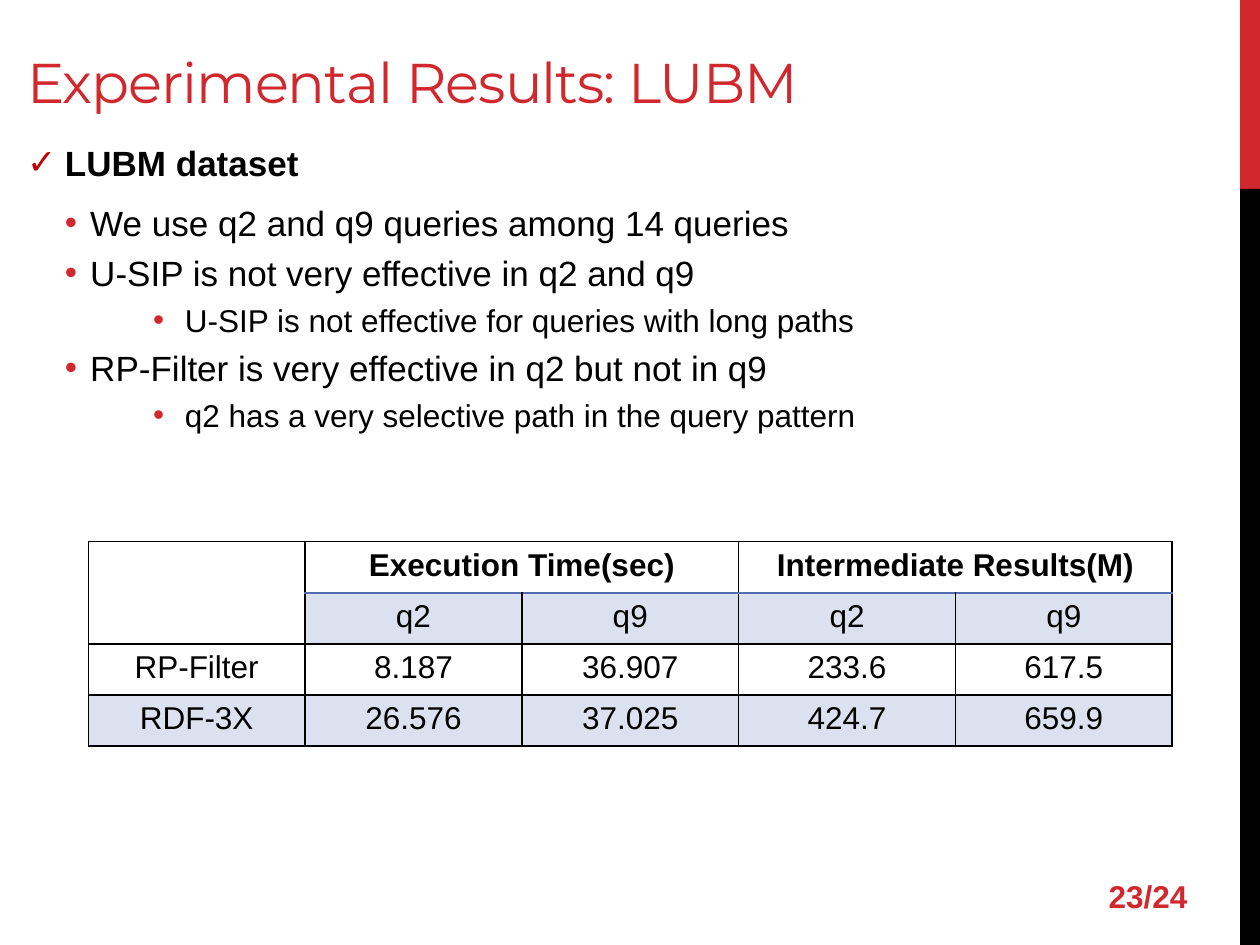
from lxml.etree import SubElement
from pptx import Presentation
from pptx.dml.color import RGBColor as Rgb
from pptx.enum.shapes import MSO_SHAPE as Preset
from pptx.enum.text import MSO_ANCHOR as Anchor, PP_ALIGN as Align
from pptx.oxml.ns import qn
from pptx.util import Cm, Pt

COLORS = {
    "red": "D1282E",
    "check": "C00000",
    "black": "000000",
    "blue": "526DB0",
}
TITLE = {"size": Pt(32), "name": "Montserrat", "bold": False}
LARGE = {"size": Pt(20), "name": "Arial", "bold": False}
SMALL = {"size": Pt(18), "name": "Arial", "bold": False}
LARGE_BOLD = {**LARGE, "bold": True}
SMALL_BOLD = {**SMALL, "bold": True}

LEVELS = [
    {"format": LARGE_BOLD, "bullet": "✓", "color": "check", "margin": 0.76, "hang": 0.76, "after": 6},
    {"format": LARGE, "bullet": "•", "color": "red", "margin": 1.27, "hang": 0.51, "after": 0},
    {"format": SMALL, "bullet": "•", "color": "red", "margin": 3.18, "hang": 0.64, "after": 0},
]
FINDINGS = [
    (0, "LUBM dataset"),
    (1, "We use q2 and q9 queries among 14 queries"),
    (1, "U-SIP is not very effective in q2 and q9"),
    (2, "U-SIP is not effective for queries with long paths"),
    (1, "RP-Filter is very effective in q2 but not in q9"),
    (2, "q2 has a very selective path in the query pattern"),
]
RESULTS = [
    ["", "Execution Time(sec)", "", "Intermediate Results(M)", ""],
    ["", "q2", "q9", "q2", "q9"],
    ["RP-Filter", "8.187", "36.907", "233.6", "617.5"],
    ["RDF-3X", "26.576", "37.025", "424.7", "659.9"],
]
MERGES = [((0, 0), (1, 0)), ((0, 1), (0, 2)), ((0, 3), (0, 4))]


class SlideBuilder:
    def __init__(self, slide):
        self.slide = slide

    def color(self, name):
        return Rgb.from_string(COLORS[name])

    def styled_run(self, paragraph, text, style, color="black"):
        run = paragraph.add_run()
        run.text = text
        for key, value in style.items():
            setattr(run.font, key, value)
        run.font.color.rgb = self.color(color)
        return run

    def bar(self, left, top, width, height, color):
        bar = self.slide.shapes.add_shape(Preset.RECTANGLE, Cm(left), Cm(top), Cm(width), Cm(height))
        bar.shadow.inherit = False
        bar.fill.solid()
        bar.fill.fore_color.rgb = self.color(color)
        bar.line.fill.background()

    def frame(self, left, top, width, height, anchor=Anchor.TOP):
        frame = self.slide.shapes.add_textbox(Cm(left), Cm(top), Cm(width), Cm(height)).text_frame
        frame.word_wrap = True
        frame.vertical_anchor = anchor
        return frame

    def label(self, box, text, style, anchor, spacing=0):
        run = self.styled_run(self.frame(*box, anchor).paragraphs[0], text, style, "red")
        if spacing:
            run._r.get_or_add_rPr().set("spc", str(spacing))

    def bullets(self, box, items):
        frame = self.frame(*box)
        for index, (depth, text) in enumerate(items):
            level = LEVELS[depth]
            paragraph = frame.add_paragraph() if index else frame.paragraphs[0]
            paragraph.level = depth
            properties = paragraph._p.get_or_add_pPr()
            properties.set("marL", str(Cm(level["margin"])))
            properties.set("indent", str(-Cm(level["hang"])))
            bullet_color = SubElement(properties, qn("a:buClr"))
            SubElement(bullet_color, qn("a:srgbClr"), val=COLORS[level["color"]])
            SubElement(properties, qn("a:buFont"), typeface="Arial")
            SubElement(properties, qn("a:buChar"), char=level["bullet"])
            if index:
                paragraph.space_before = Pt(level["format"]["size"].pt * 0.23)
            paragraph.space_after = Pt(level["after"])
            self.styled_run(paragraph, text, level["format"])

    def border(self, cell, side, color):
        line = SubElement(cell._tc.get_or_add_tcPr(), qn(f"a:ln{side}"), w=str(Pt(1)))
        fill = SubElement(line, qn("a:solidFill"))
        SubElement(fill, qn("a:srgbClr"), val=COLORS[color])

    def tint(self, cell):
        cell.fill.solid()
        cell.fill.fore_color.rgb = self.color("blue")
        cell_fill = cell._tc.tcPr.find(qn("a:solidFill"))
        SubElement(cell_fill[0], qn("a:alpha"), val="20000")

    def table(self, left, top, column_width, row_height, rows, merges):
        row_count, column_count = len(rows), len(rows[0])
        table = self.slide.shapes.add_table(
            row_count, column_count, Cm(left), Cm(top),
            Cm(column_width * column_count), Cm(row_height * row_count)).table
        table.first_row = table.horz_banding = False
        for column in table.columns:
            column.width = Cm(column_width)
        for row in table.rows:
            row.height = Cm(row_height)
        for first, last in merges:
            table.cell(*first).merge(table.cell(*last))
        for r, values in enumerate(rows):
            for c, value in enumerate(values):
                cell = table.cell(r, c)
                header_edge = {0: "B", 1: "T"}.get(r) if c else None
                for side in "LRTB":
                    self.border(cell, side, "blue" if side == header_edge else "black")
                if r == 3 or (r == 1 and c):
                    self.tint(cell)
                else:
                    cell.fill.background()
                if value:
                    paragraph = cell.text_frame.paragraphs[0]
                    paragraph.alignment = Align.CENTER
                    self.styled_run(paragraph, value, SMALL if r else SMALL_BOLD)


def main():
    deck = Presentation()
    deck.slide_width, deck.slide_height = Cm(25.4), Cm(19.05)
    builder = SlideBuilder(deck.slides.add_slide(deck.slide_layouts[6]))
    builder.bar(25, 0, 0.4, 3.81, "red")
    builder.bar(25, 3.81, 0.4, 15.24, "black")
    builder.label((0.3, 0.33, 24.4, 2.11), "Experimental Results: LUBM", TITLE, Anchor.BOTTOM, -60)
    builder.bullets((0.3, 2.72, 24.4, 14.3), FINDINGS)
    builder.table(1.78, 10.92, 4.37, 1.03, RESULTS, MERGES)
    builder.label((22.1, 17.12, 2.8, 1.88), "23/24", SMALL_BOLD, Anchor.MIDDLE)
    deck.save("out.pptx")


if __name__ == "__main__":
    main()
